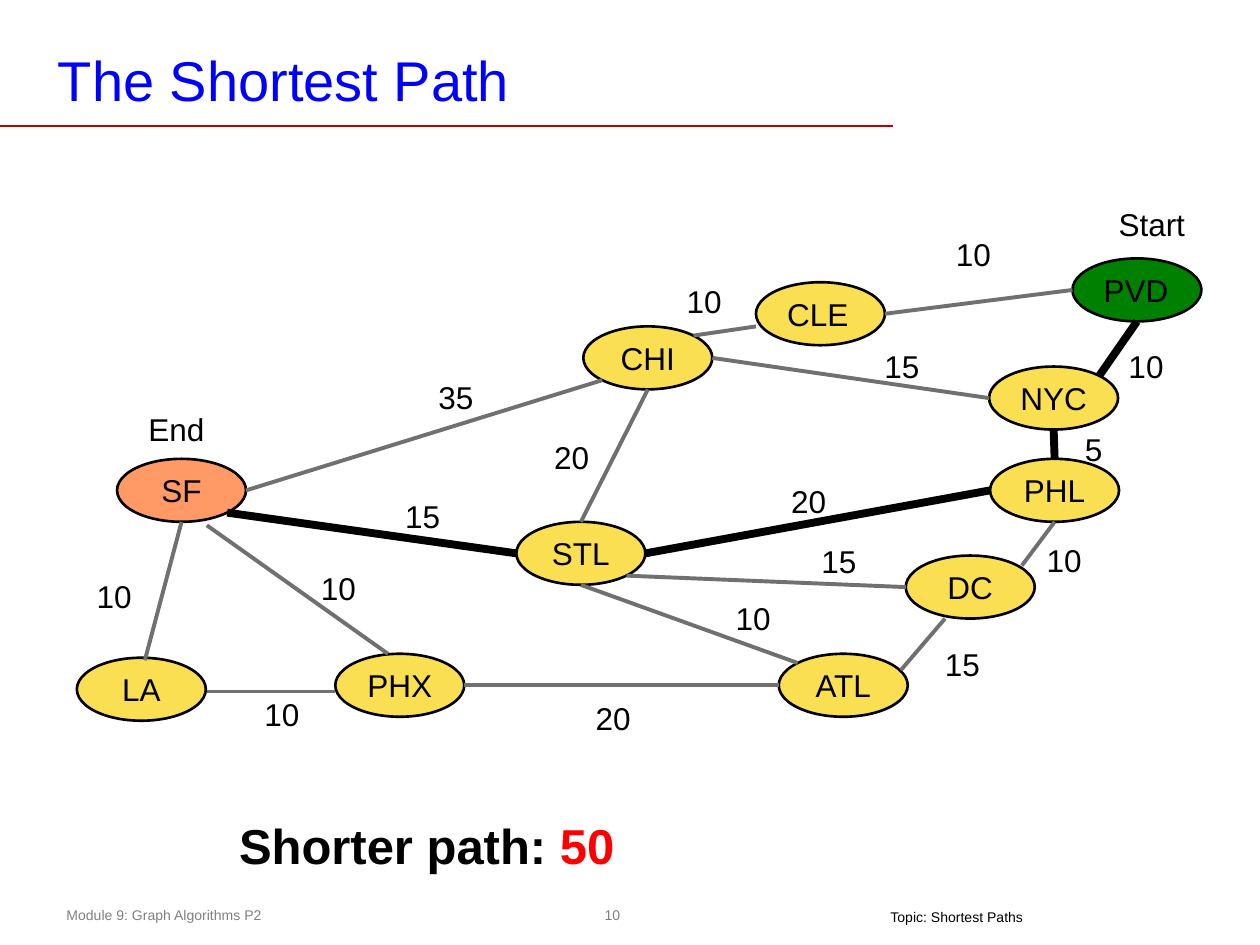
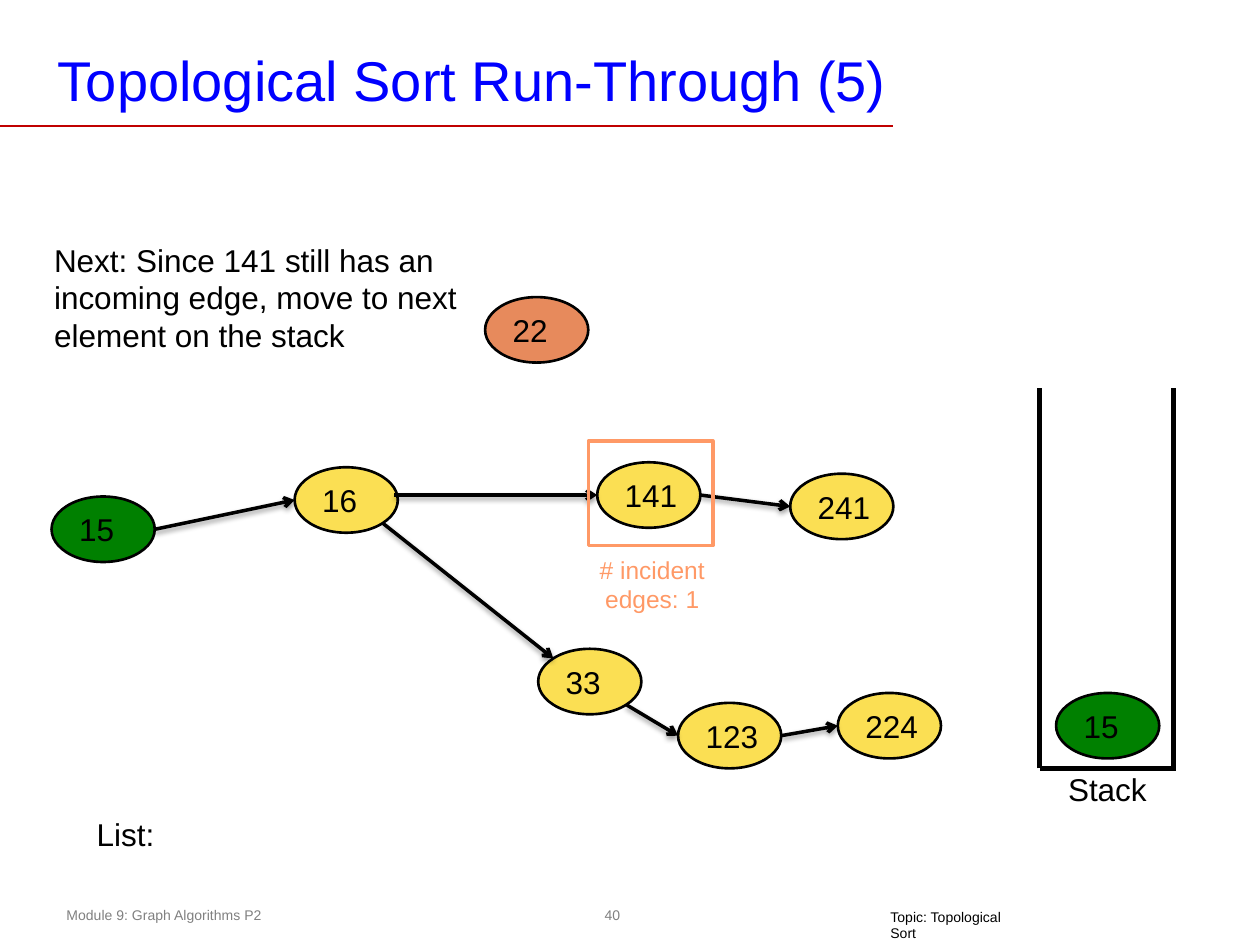
from math import sqrt
from typing import NamedTuple, Optional, Union

from lxml.etree import SubElement
from pptx import Presentation
from pptx.dml.color import RGBColor
from pptx.enum.shapes import MSO_CONNECTOR as Connector, MSO_SHAPE as Preset
from pptx.enum.text import MSO_ANCHOR as Anchor, PP_ALIGN as Align
from pptx.oxml.ns import qn
from pptx.util import Cm, Pt

FONT = "Arial"
COLORS = {
    "title": "0000FF",
    "rule": "C00000",
    "footer": "808080",
    "ink": "000000",
    "road": "707070",
    "yellow": "FBDF53",
    "green": "008000",
    "orange": "FF9966",
    "rust": "E78A5C",
    "answer": "FF0000",
}
DIAGONAL = sqrt(0.5)
SIDES = {
    "top": (0, -1), "bottom": (0, 1), "left": (-1, 0), "right": (1, 0),
    "upper-left": (-DIAGONAL, -DIAGONAL), "upper-right": (DIAGONAL, -DIAGONAL),
    "lower-left": (-DIAGONAL, DIAGONAL), "lower-right": (DIAGONAL, DIAGONAL),
}


class Point(NamedTuple):
    x: float
    y: float


class Size(NamedTuple):
    width: float
    height: float


class Node(NamedTuple):
    name: str
    x: float
    y: float
    fill: str = "yellow"
    align: Align = Align.CENTER


class Edge(NamedTuple):
    start: Union[str, Point]
    end: Union[str, Point]
    weight: str = ""
    label: Optional[Point] = None
    on_route: bool = False


class Caption(NamedTuple):
    text: str
    x: float
    y: float
    width: float = 1.83
    height: float = 1.02
    size: float = 18
    color: str = "ink"
    align: Align = Align.LEFT
    bold: bool = False
    wrap: bool = True
    margins: tuple = (0.25, 0.13, 0.25, 0.13)


CITY_SIZE = Size(2.6, 1.27)
CITIES = [
    Node("ATL", 15.7, 13.18),
    Node("SF", 2.36, 9.25, "orange"),
    Node("LA", 1.55, 13.26),
    Node("CLE", 15.24, 5.69, align=Align.LEFT),
    Node("DC", 18.26, 11.2),
    Node("PHL", 19.96, 9.25),
    Node("NYC", 19.94, 7.39, align=Align.LEFT),
    Node("PVD", 21.62, 5.21, "green", Align.LEFT),
    Node("PHX", 6.76, 13.18),
    Node("STL", 10.41, 10.52),
    Node("CHI", 11.76, 6.58),
]
ROADS = [
    Edge("PVD bottom", "NYC upper-right", "10", Point(22.5, 6.86), True),
    Edge("PVD left", "CLE right", "10", Point(19.02, 4.6)),
    Edge(Point(15.24, 6.58), "CHI upper-right", "10", Point(13.59, 5.56)),
    Edge("CHI lower-left", "SF right", "35", Point(8.59, 7.49)),
    Edge("PHL bottom", Point(20.6, 11.4), "10", Point(20.85, 10.77)),
    Edge("NYC bottom", "PHL top", "5", Point(21.62, 8.53), True),
    Edge("NYC left", "CHI right", "15", Point(17.58, 6.86)),
    Edge("PHL left", "STL right", "20", Point(15.7, 9.58), True),
    Edge("STL left", "SF lower-right", "15", Point(7.92, 9.88), True),
    Edge(Point(7.82, 13.18), Point(4.17, 10.59), "10", Point(6.22, 11.35)),
    Edge(Point(2.92, 13.31), "SF bottom", "10", Point(1.7, 11.51)),
    Edge("ATL left", "PHX right", "20", Point(11.76, 13.97)),
    Edge("ATL upper-left", "STL bottom", "10", Point(14.58, 11.94)),
    Edge("DC left", "STL lower-right", "15", Point(16.31, 10.8)),
    Edge(Point(19.05, 12.47), Point(18.16, 13.51), "15", Point(18.8, 12.88)),
    Edge(Point(6.76, 13.94), Point(4.17, 13.94), "10", Point(5.08, 13.89)),
    Edge("STL top", "CHI bottom", "20", Point(10.92, 8.71)),
]

VERTEX_SIZE = Size(2.08, 1.32)
VERTICES = [
    Node("33", 10.85, 13.08, align=Align.LEFT),
    Node("16", 5.94, 9.42, align=Align.LEFT),
    Node("15", 1.04, 10.01, "green", Align.LEFT),
    Node("123", 13.67, 14.17, align=Align.LEFT),
    Node("224", 16.89, 13.97, align=Align.LEFT),
    Node("141", 12.04, 9.32, align=Align.LEFT),
    Node("241", 15.93, 9.55, align=Align.LEFT),
    Node("22", 9.78, 5.99, "rust", Align.LEFT),
]
STACKED = Node("15", 21.29, 13.97, "green", Align.LEFT)
ARROWS = [
    Edge("15 right", "16 left"),
    Edge("16 lower-right", "33 upper-left"),
    Edge("123 right", "224 left"),
    Edge("33 lower-right", "123 left"),
    Edge("141 right", "241 left"),
    Edge(Point(7.95, 9.98), "141 left"),
]
STACK_LEFT, STACK_RIGHT = 20.96, 23.65
STACK_TOP, STACK_BOTTOM = 7.82, 15.49


def rgb(color: str) -> RGBColor:
    return RGBColor.from_string(COLORS[color])


def write(frame, text: str, size: float, color: str, align: Align,
          bold: bool = False) -> None:
    frame.text = text
    para = frame.paragraphs[0]
    para.alignment = align
    font = para.runs[0].font
    font.name, font.size, font.bold = FONT, Pt(size), bold
    font.color.rgb = rgb(color)


def set_margins(frame, margins: tuple) -> None:
    (frame.margin_left, frame.margin_top,
     frame.margin_right, frame.margin_bottom) = map(Cm, margins)


def draw_caption(page, caption: Caption):
    box = page.shapes.add_textbox(Cm(caption.x), Cm(caption.y),
                                  Cm(caption.width), Cm(caption.height))
    frame = box.text_frame
    frame.word_wrap = caption.wrap
    set_margins(frame, caption.margins)
    write(frame, caption.text, caption.size, caption.color, caption.align, caption.bold)
    return frame


def draw_shape(page, preset: Preset, corner: Point, size: Size, fill: str = "",
               line: str = "", weight: float = 1.5):
    shape = page.shapes.add_shape(preset, Cm(corner.x), Cm(corner.y),
                                  Cm(size.width), Cm(size.height))
    shape.shadow.inherit = False
    if fill:
        shape.fill.solid()
        shape.fill.fore_color.rgb = rgb(fill)
    else:
        shape.fill.background()
    if line:
        shape.line.color.rgb = rgb(line)
        shape.line.width = Pt(weight)
    else:
        shape.line.fill.background()
    return shape


def draw_node(page, node: Node, size: Size) -> None:
    oval = draw_shape(page, Preset.OVAL, Point(node.x, node.y), size, node.fill, "ink")
    frame = oval.text_frame
    frame.word_wrap = False
    frame.vertical_anchor = Anchor.MIDDLE
    write(frame, node.name, 18, "ink", node.align)


def draw_line(page, start: Point, end: Point, color: str, weight: float,
              arrow: bool = False) -> None:
    line = page.shapes.add_connector(Connector.STRAIGHT, Cm(start.x), Cm(start.y),
                                     Cm(end.x), Cm(end.y))
    line.line.color.rgb = rgb(color)
    line.line.width = Pt(weight)
    properties = line._element.spPr
    effects = SubElement(properties, qn("a:effectLst"))
    if arrow:
        SubElement(properties.find(qn("a:ln")), qn("a:tailEnd"), type="arrow")
        shadow = SubElement(effects, qn("a:outerShdw"), blurRad=str(Pt(3.1)),
                            dist=str(Pt(1.6)), dir="5400000", rotWithShape="0")
        tint = SubElement(shadow, qn("a:srgbClr"), val=COLORS["ink"])
        SubElement(tint, qn("a:alpha"), val="38000")


def locate(end: Union[str, Point], nodes: dict, size: Size) -> Point:
    if isinstance(end, Point):
        return end
    name, side = end.split()
    node, (across, down) = nodes[name], SIDES[side]
    return Point(node.x + size.width / 2 * (1 + across),
                 node.y + size.height / 2 * (1 + down))


def draw_graph(page, nodes: list, size: Size, edges: list, arrows: bool) -> None:
    by_name = {node.name: node for node in nodes}
    for node in nodes:
        draw_node(page, node, size)
    for edge in edges:
        start, end = (locate(tip, by_name, size) for tip in (edge.start, edge.end))
        if arrows:
            draw_line(page, start, end, "ink", 2, arrow=True)
        elif edge.on_route:
            draw_line(page, start, end, "ink", 4.5)
        else:
            draw_line(page, start, end, "road", 2.25)
    for edge in edges:
        if edge.label:
            draw_caption(page, Caption(edge.weight, edge.label.x, edge.label.y))


def add_page(deck, title: str, number: str, topic: str):
    page = deck.slides.add_slide(deck.slide_layouts[6])
    badge = draw_shape(page, Preset.OVAL, Point(12.04, 18.11), Size(0.61, 0.66))
    frame = badge.text_frame
    frame.word_wrap = False
    frame.vertical_anchor = Anchor.MIDDLE
    set_margins(frame, (0.1, 0.1, 0.1, 0.1))
    write(frame, number, 8, "footer", Align.CENTER)
    draw_caption(page, Caption("Module 9: Graph Algorithms P2", 1.09, 18.14, 9.25, 0.61,
                               8, "footer"))
    draw_line(page, Point(0, 2.54), Point(18.01, 2.54), "rule", 1)
    draw_caption(page, Caption(title, 0.99, 0.71, 18.85, 1.52, 32, "title",
                               margins=(0.18, 0.2, 0.18, 0)))
    draw_caption(page, Caption(f"Topic: {topic}", 17.7, 18.31, 3.3, 0.43, 8,
                               wrap=False, margins=(0.25, 0, 0.25, 0.1)))
    return page


def build_shortest_path(deck) -> None:
    page = add_page(deck, "The Shortest Path", "10", "Shortest Paths")
    draw_graph(page, CITIES, CITY_SIZE, ROADS, arrows=False)
    draw_caption(page, Caption("Start", 22.3, 4.01, 2.59))
    draw_caption(page, Caption("End", 2.74, 8.13))
    frame = draw_caption(page, Caption("Shorter path: ", 4.57, 16.31, 14.2, 1.45, 28,
                                       bold=True))
    span = frame.paragraphs[0].add_run()
    span.text = "50"
    span.font.name, span.font.size, span.font.bold = FONT, Pt(28), True
    span.font.color.rgb = rgb("answer")


def build_topological_sort(deck) -> None:
    page = add_page(deck, "Topological Sort Run-Through (5)", "40", "Topological Sort")
    draw_graph(page, VERTICES, VERTEX_SIZE, ARROWS, arrows=True)
    draw_caption(page, Caption("Stack", 20.52, 15.39, 3.61, align=Align.CENTER))
    draw_caption(page, Caption("List:", 1.7, 16.31, 2.74))
    draw_caption(page, Caption(
        "Next: Since 141 still has an incoming edge, move to next element on the stack",
        0.84, 4.72, 9.78, 2.57))
    draw_node(page, STACKED, VERTEX_SIZE)
    draw_line(page, Point(STACK_LEFT, STACK_BOTTOM), Point(STACK_RIGHT + 0.05, STACK_BOTTOM),
              "ink", 3)
    for x in (STACK_LEFT, STACK_RIGHT):
        draw_line(page, Point(x, STACK_BOTTOM), Point(x, STACK_TOP), "ink", 3)
    draw_shape(page, Preset.RECTANGLE, Point(11.86, 8.89), Size(2.51, 2.11),
               line="orange", weight=2)
    draw_caption(page, Caption("# incident edges: 1", 11.51, 11.05, 3.28, 1.45, 14,
                               "orange", Align.CENTER))


def main() -> None:
    deck = Presentation()
    deck.slide_width, deck.slide_height = Cm(25.4), Cm(19.05)
    build_shortest_path(deck)
    build_topological_sort(deck)
    deck.save("out.pptx")


if __name__ == "__main__":
    main()
